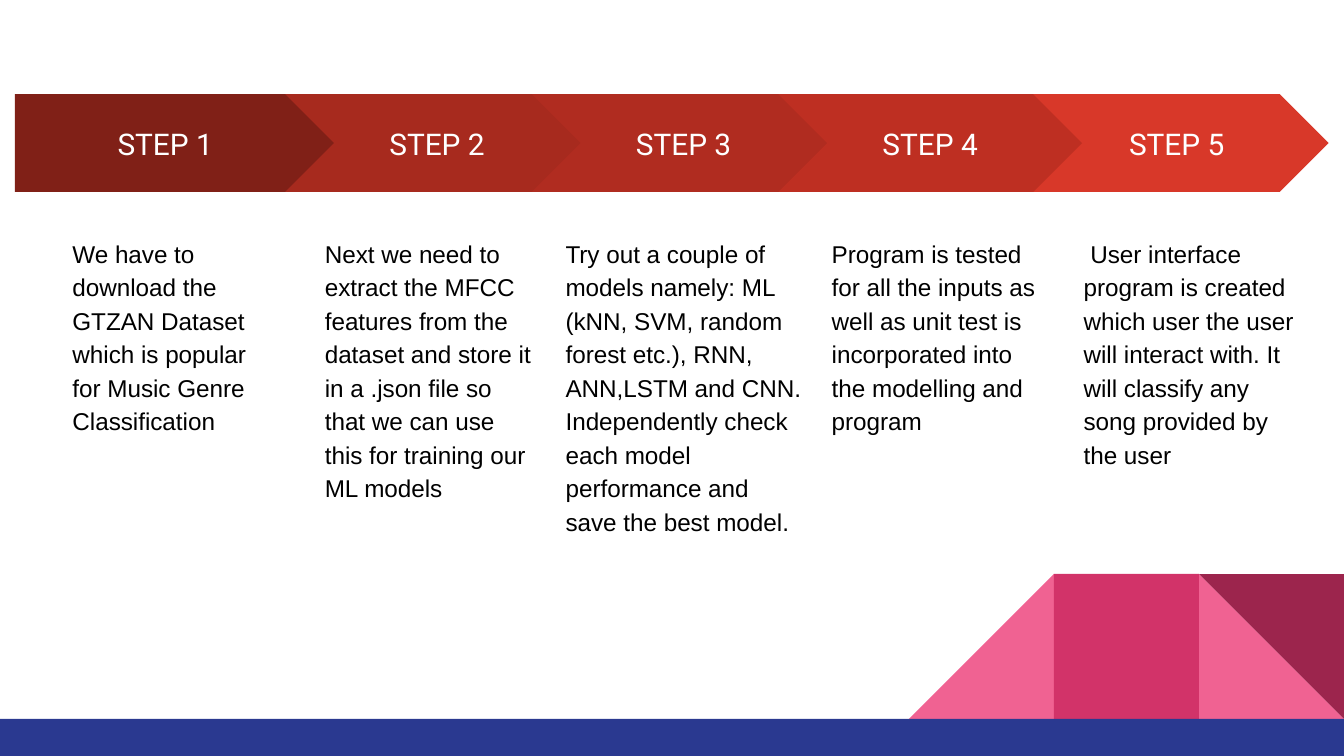
from pptx import Presentation
from pptx.dml.color import RGBColor
from pptx.enum.shapes import MSO_SHAPE
from pptx.enum.text import MSO_ANCHOR, PP_ALIGN
from pptx.util import Cm, Pt

RECT = MSO_SHAPE.RECTANGLE
WEDGE = MSO_SHAPE.RIGHT_TRIANGLE
START = MSO_SHAPE.PENTAGON
ARROW = MSO_SHAPE.CHEVRON
MIDDLE = MSO_ANCHOR.MIDDLE
CENTER = PP_ALIGN.CENTER

COLORS = {
    "step1": "802017", "step2": "A72A1E", "step3": "B02C20",
    "step4": "BE2F22", "step5": "D83829",
    "pink": "F06292", "rose": "D23369", "plum": "9C254D", "navy": "2A3990",
    "white": "FFFFFF", "black": "000000",
}
WIDE, HIGH = 25.4, 14.29
PITCH = 4.66

# step number, text indent, text width, paragraphs
STEPS = [
    (1, 0.84, 4.29, ["We have to download the GTZAN Dataset which is popular "
                     "for Music Genre Classification"]),
    (2, 0.5, 4.52, ["Next we need to extract the MFCC features from the dataset "
                    "and store it in a .json file so that we can use this for "
                    "training our ML models"]),
    (3, 0.39, 5.03, ["Try out a couple of models namely: ML (kNN, SVM, random "
                     "forest etc.), RNN, ANN,LSTM and CNN.",
                     "Independently check each model performance and save the "
                     "best model."]),
    (5, 0.86, 4.52, [" User interface program is created which user the user "
                     "will interact with. It will classify any song provided "
                     "by the user"]),
    (4, 0.76, 4.52, ["Program is tested for all the inputs as well as unit test "
                     "is incorporated into the modelling and program"]),
]


def add_form(slide, kind, box, color):
    """Add a plain filled shape in a box given in centimetres."""
    form = slide.shapes.add_shape(kind, *(Cm(n) for n in box))
    form.shadow.inherit = False
    form.fill.solid()
    form.fill.fore_color.rgb = RGBColor.from_string(COLORS[color])
    form.line.fill.background()
    return form


def set_text(frame, lines, font, size, color):
    """Fill a text frame with paragraphs in one font."""
    frame.word_wrap = True
    frame.margin_left = frame.margin_right = Cm(0.25)
    frame.margin_top = frame.margin_bottom = Cm(0.25)
    frame.text = "\n".join(lines)
    for para in frame.paragraphs:
        for run in para.runs:
            run.font.name = font
            run.font.size = Pt(size)
            run.font.color.rgb = RGBColor.from_string(COLORS[color])


def add_decor(slide, left, top, width, height):
    """Draw the footer bar and the corner tiles above it."""
    tile, bar = 2.74, 0.7
    base = top + height - bar
    right = left + width

    def add_tile(kind, slot, color):
        """Add one square tile, counted in slots from the right edge."""
        box = (right - slot * tile, base - tile, tile, tile)
        return add_form(slide, kind, box, color)

    add_tile(WEDGE, 1, "pink")
    slope = add_tile(WEDGE, 3, "pink")
    slope.element.spPr.xfrm.set("flipH", "1")
    add_tile(RECT, 2, "rose")
    add_tile(WEDGE, 1, "plum").rotation = 180
    add_form(slide, RECT, (left, base, width, bar), "navy")


def add_step(slide, left, top, width, height, step):
    """Draw one step arrow with its description below."""
    num, indent, span, lines = step
    kind = START if num == 1 else ARROW
    arrow = add_form(slide, kind, (left, top, width, height), f"step{num}")
    arrow.adjustments[0] = 0.5
    set_text(arrow.text_frame, [f"STEP {num}"], "Roboto", 16, "white")
    arrow.text_frame.vertical_anchor = MIDDLE
    arrow.text_frame.paragraphs[0].alignment = CENTER

    note = slide.shapes.add_textbox(
        Cm(left + indent), Cm(top + 2.41), Cm(span), Cm(6.53))
    set_text(note.text_frame, lines, "Arial", 13, "black")
    for para in note.text_frame.paragraphs:
        para.line_spacing = 1.15


def add_steps(slide, left, top, height):
    """Lay out the row of overlapping steps."""
    for step in STEPS:
        if step[0] == 1:
            add_step(slide, left, top, 6.15, height, step)
        else:
            shift = 5.11 + (step[0] - 2) * PITCH
            add_step(slide, left + shift, top, 5.74, height, step)


def main():
    """Build and save the slide."""
    deck = Presentation()
    deck.slide_width, deck.slide_height = Cm(WIDE), Cm(HIGH)
    slide = deck.slides.add_slide(deck.slide_layouts[6])
    add_decor(slide, 0, 0, WIDE, HIGH)
    add_steps(slide, 0.28, 1.78, 1.85)
    deck.save("out.pptx")


if __name__ == "__main__":
    main()
